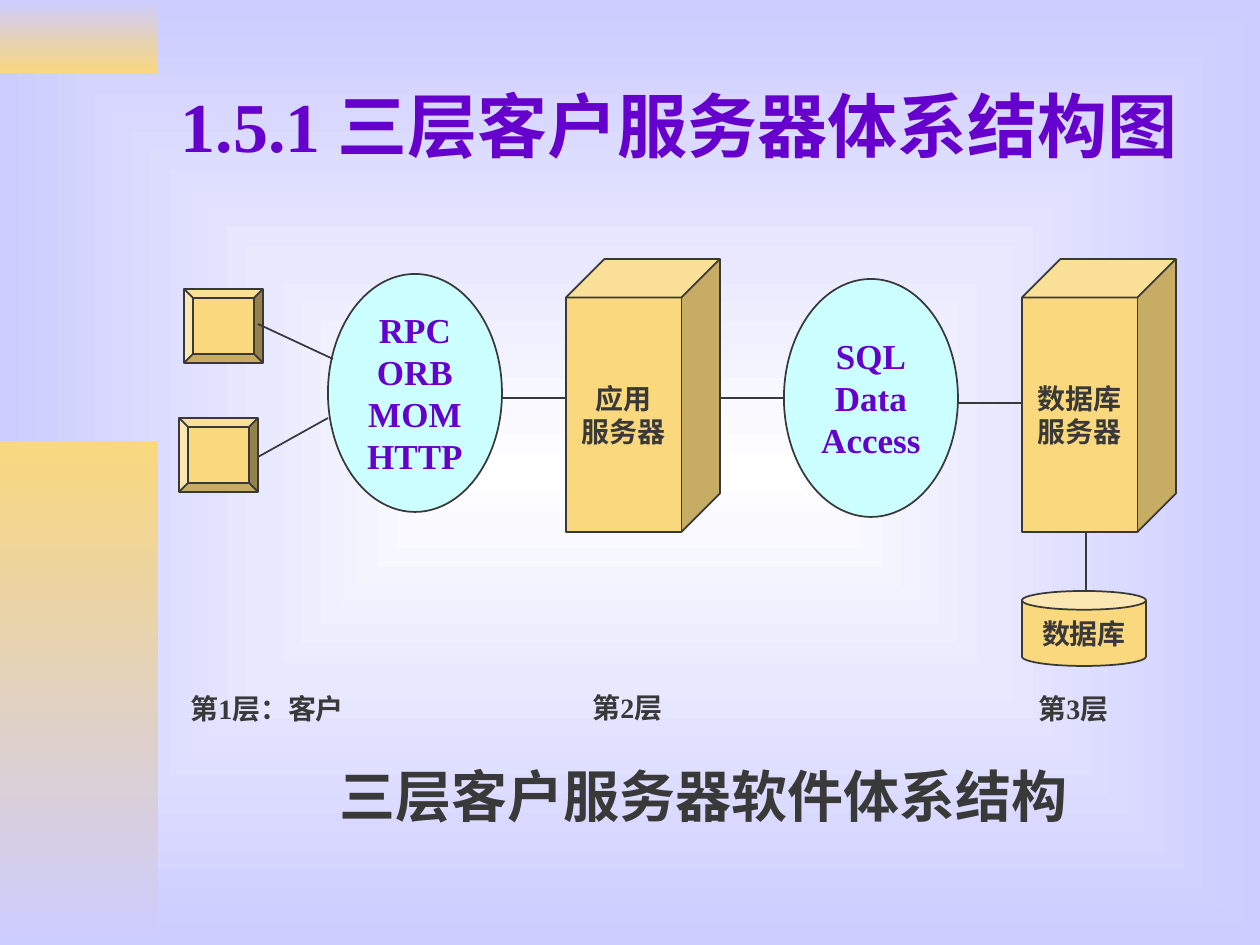
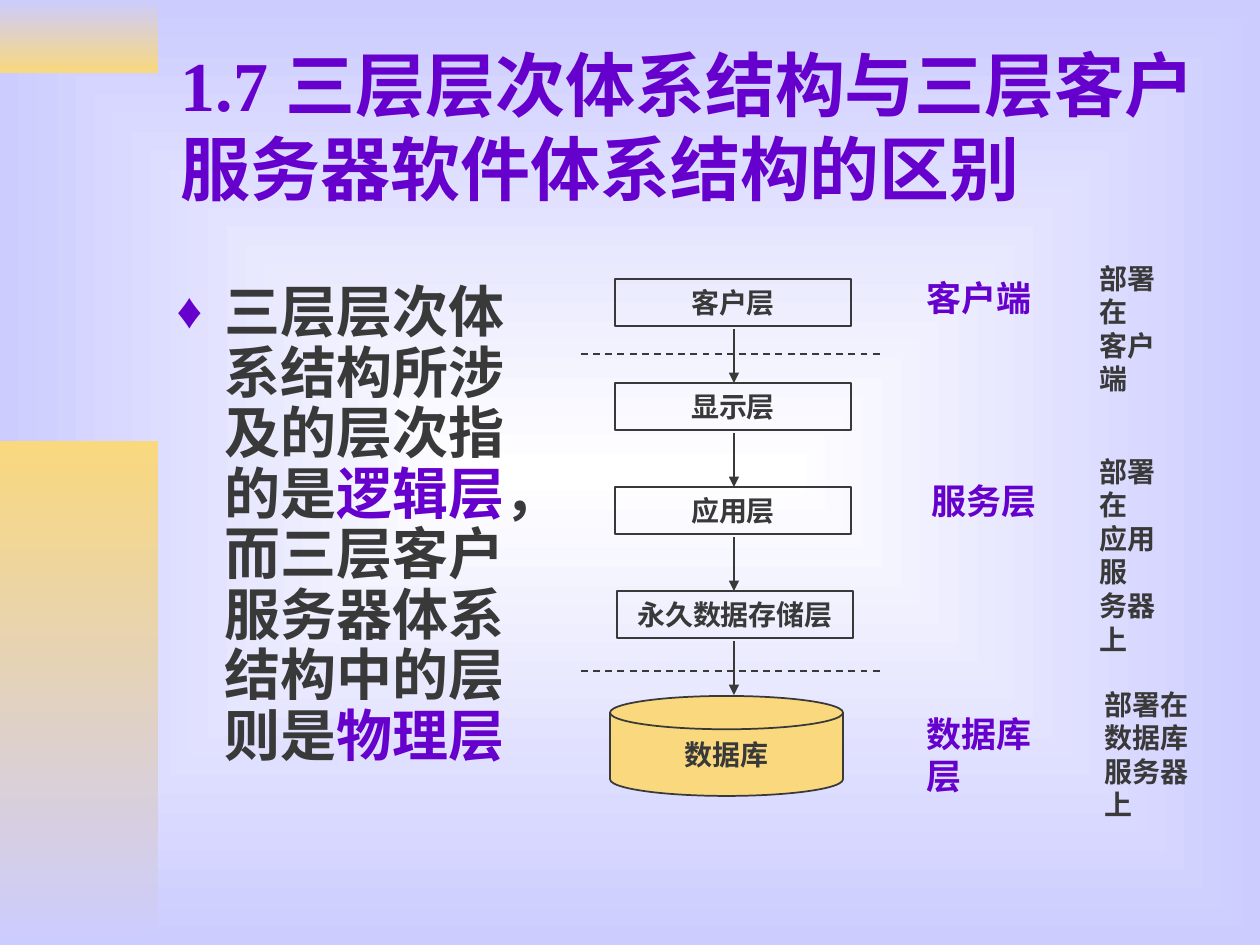
from lxml.etree import SubElement
from pptx import Presentation
from pptx.dml.color import RGBColor
from pptx.enum.dml import MSO_LINE
from pptx.enum.shapes import MSO_CONNECTOR, MSO_SHAPE
from pptx.enum.text import MSO_ANCHOR, MSO_AUTO_SIZE, PP_ALIGN
from pptx.oxml.ns import qn
from pptx.util import Emu, Inches, Pt

PX_PER_INCH = 126
VIOLET = RGBColor(0x66, 0x00, 0xCC)
CHARCOAL = RGBColor(0x39, 0x39, 0x39)
GOLD = RGBColor(0xF9, 0xD8, 0x7E)
LAVENDER = RGBColor(0xCC, 0xCC, 0xFF)
CYAN = RGBColor(0xCC, 0xFF, 0xFF)
WHITE = RGBColor(0xFF, 0xFF, 0xFF)

TITLE = dict(size=Pt(40), color=VIOLET)
BODY = dict(size=Pt(32), color=CHARCOAL)
KEY = dict(size=Pt(20), color=VIOLET)
SMALL = dict(size=Pt(16), color=CHARCOAL)


def px(*lengths):
    return [Emu(round(length * 914400 / PX_PER_INCH)) for length in lengths]


def apply(target, **values):
    for name, value in values.items():
        setattr(target, name, value)


def add_xml(parent, tag, **attributes):
    return SubElement(parent, qn(tag), attributes)


def set_gradient(fill, start, end):
    fill.gradient()
    for stop, color in zip(fill.gradient_stops, (start, end)):
        stop.color.rgb = color


class Deck:
    def __init__(self):
        self.prs = Presentation()
        apply(self.prs, slide_width=Inches(10), slide_height=Inches(7.5))
        self.slide = None

    def new_slide(self, title):
        self.slide = self.prs.slides.add_slide(self.prs.slide_layouts[1])
        self.background()
        self.band((0, 0, 158, 73), LAVENDER, GOLD)
        self.band((0, 441, 158, 504), GOLD, LAVENDER)
        self.placeholder(self.slide.shapes.title, (168, 42, 1071, 166),
                         [(title, TITLE)], MSO_ANCHOR.MIDDLE)

    def background(self):
        """Fade from white in the middle to lavender at the edges."""
        set_gradient(self.slide.background.fill, WHITE, LAVENDER)
        gradient = self.slide.element.find(".//" + qn("a:gradFill"))
        gradient.remove(gradient.find(qn("a:lin")))
        middle = dict.fromkeys("ltrb", "50000")
        add_xml(add_xml(gradient, "a:path", path="rect"), "a:fillToRect", **middle)

    def band(self, box, top_color, bottom_color):
        band = self.slide.shapes.add_shape(MSO_SHAPE.RECTANGLE, *px(*box))
        band.shadow.inherit = False
        band.line.fill.background()
        set_gradient(band.fill, top_color, bottom_color)
        band.fill.gradient_angle = 270
        self.slide.shapes.element.insert(2, band.element)

    def add_runs(self, paragraph, pieces):
        for text, style in pieces:
            run = paragraph.add_run()
            run.text = text
            apply(run.font, name="Times New Roman", bold=True, size=style["size"])
            run.font.color.rgb = style["color"]

    def add_lines(self, frame, text, style, align):
        for number, line in enumerate(text.split("\n")):
            paragraph = frame.add_paragraph() if number else frame.paragraphs[0]
            paragraph.alignment = align
            self.add_runs(paragraph, [(line, style)])

    def placeholder(self, holder, box, pieces, anchor, align=PP_ALIGN.LEFT):
        left, top, width, height = px(*box)
        apply(holder, left=left, top=top, width=width, height=height)
        apply(holder.text_frame, word_wrap=True, auto_size=MSO_AUTO_SIZE.NONE,
              vertical_anchor=anchor)
        paragraph = holder.text_frame.paragraphs[0]
        apply(paragraph, alignment=align, space_before=Pt(0))
        self.add_runs(paragraph, pieces)
        return paragraph

    def body(self, box, pieces, align=PP_ALIGN.LEFT, bullet=None):
        paragraph = self.placeholder(self.slide.placeholders[1], box, pieces,
                                     MSO_ANCHOR.TOP, align)
        properties = paragraph._p.get_or_add_pPr()
        hanging = Inches(0.38)
        properties.set("marL", str(hanging))
        properties.set("indent", str(-hanging))
        if bullet:
            add_xml(add_xml(properties, "a:buClr"), "a:srgbClr", val=str(VIOLET))
            add_xml(properties, "a:buSzPct", val="90000")
            add_xml(properties, "a:buChar", char=bullet)
            paragraph.line_spacing = 0.9
        else:
            add_xml(properties, "a:buNone")

    def shape(self, kind, box, text="", style=SMALL, fill=GOLD, wrap=False):
        shape = self.slide.shapes.add_shape(kind, *px(*box))
        shape.shadow.inherit = False
        if fill:
            shape.fill.solid()
            shape.fill.fore_color.rgb = fill
        else:
            shape.fill.background()
        shape.line.color.rgb = CHARCOAL
        shape.line.width = Pt(1)
        if text:
            apply(shape.text_frame, word_wrap=wrap, vertical_anchor=MSO_ANCHOR.MIDDLE)
            self.add_lines(shape.text_frame, text, style, PP_ALIGN.CENTER)
        return shape

    def label(self, box, text, style=SMALL):
        frame = self.slide.shapes.add_textbox(*px(*box)).text_frame
        apply(frame, word_wrap=False, auto_size=MSO_AUTO_SIZE.SHAPE_TO_FIT_TEXT)
        self.add_lines(frame, text, style, PP_ALIGN.LEFT)

    def line(self, ends, dash=None, arrow=False):
        link = self.slide.shapes.add_connector(MSO_CONNECTOR.STRAIGHT, *px(*ends))
        link.line.color.rgb = CHARCOAL
        apply(link.line, width=Pt(1), dash_style=dash)
        properties = link.element.find(qn("p:spPr"))
        if arrow:
            add_xml(properties.find(qn("a:ln")), "a:tailEnd", type="triangle")
        add_xml(properties, "a:effectLst")


def architecture_slide(deck):
    deck.new_slide("1.5.1 三层客户服务器体系结构图")
    deck.body((168, 755, 1071, 84), [("三层客户服务器软件体系结构", BODY)],
              PP_ALIGN.CENTER)

    for left, top in ((184, 289), (179, 418)):
        client = deck.shape(MSO_SHAPE.BEVEL, (left, top, 79, 74))
        client.adjustments[0] = 0.125
    for left, top, protocols in ((328, 274, "RPC\nORB\nMOM\nHTTP"),
                                 (784, 279, "SQL\nData\nAccess")):
        deck.shape(MSO_SHAPE.OVAL, (left, top, 174, 238), protocols, KEY, CYAN)
    for left, server in ((566, "应用\n服务器"), (1022, "数据库\n服务器")):
        deck.shape(MSO_SHAPE.CUBE, (left, 259, 154, 273), server)
    deck.shape(MSO_SHAPE.CAN, (1022, 591, 124, 75), "数据库")

    for ends in ((258, 324, 333, 359), (258, 457, 328, 418),
                 (501, 398, 566, 398), (720, 398, 784, 398),
                 (958, 403, 1022, 403), (1086, 532, 1086, 592)):
        deck.line(ends)
    for left, top, width, tier in ((178, 685, 192, "第1层：客户"),
                                   (580, 684, 108, "第2层"),
                                   (1026, 685, 108, "第3层")):
        deck.label((left, top, width, 47), tier)


def comparison_slide(deck):
    deck.new_slide("1.7 三层层次体系结构与三层客户服务器软件体系结构的区别")
    highlight = dict(BODY, color=VIOLET)
    deck.body((164, 278, 373, 576),
              [("三层层次体系结构所涉及的层次指的是", BODY), ("逻辑层", highlight),
               ("，而三层客户服务器体系结构中的层则是", BODY), ("物理层", highlight)],
              bullet="♦")

    pitch = 104
    layers = ((615, "客户层"), (615, "显示层"), (615, "应用层"), (617, "永久数据存储层"))
    for row, (left, layer) in enumerate(layers):
        top = 279 + row * pitch
        deck.shape(MSO_SHAPE.RECTANGLE, (left, top, 236, 47), layer, fill=None, wrap=True)
        deck.line((734, top + 50, 734, top + pitch), arrow=True)
    deck.shape(MSO_SHAPE.FLOWCHART_MAGNETIC_DISK, (610, 696, 233, 100), "数据库")
    for boundary in (354, 671):
        deck.line((581, boundary, 883, boundary), dash=MSO_LINE.DASH)

    for left, top, width, tier in ((914, 270, 130, "客户端"),
                                   (919, 473, 130, "服务层"),
                                   (914, 706, 165, "数据库层")):
        deck.label((left, top, width, 55), tier, KEY)
    for left, top, width, height, location in (
            (1087, 255, 108, 81, "部署在\n客户端"),
            (1087, 448, 108, 113, "部署在\n应用服\n务器上"),
            (1092, 681, 136, 113, "部署在\n数据库\n服务器上")):
        deck.label((left, top, width, height), location)


def main():
    deck = Deck()
    architecture_slide(deck)
    comparison_slide(deck)
    deck.prs.save("out.pptx")


if __name__ == "__main__":
    main()
